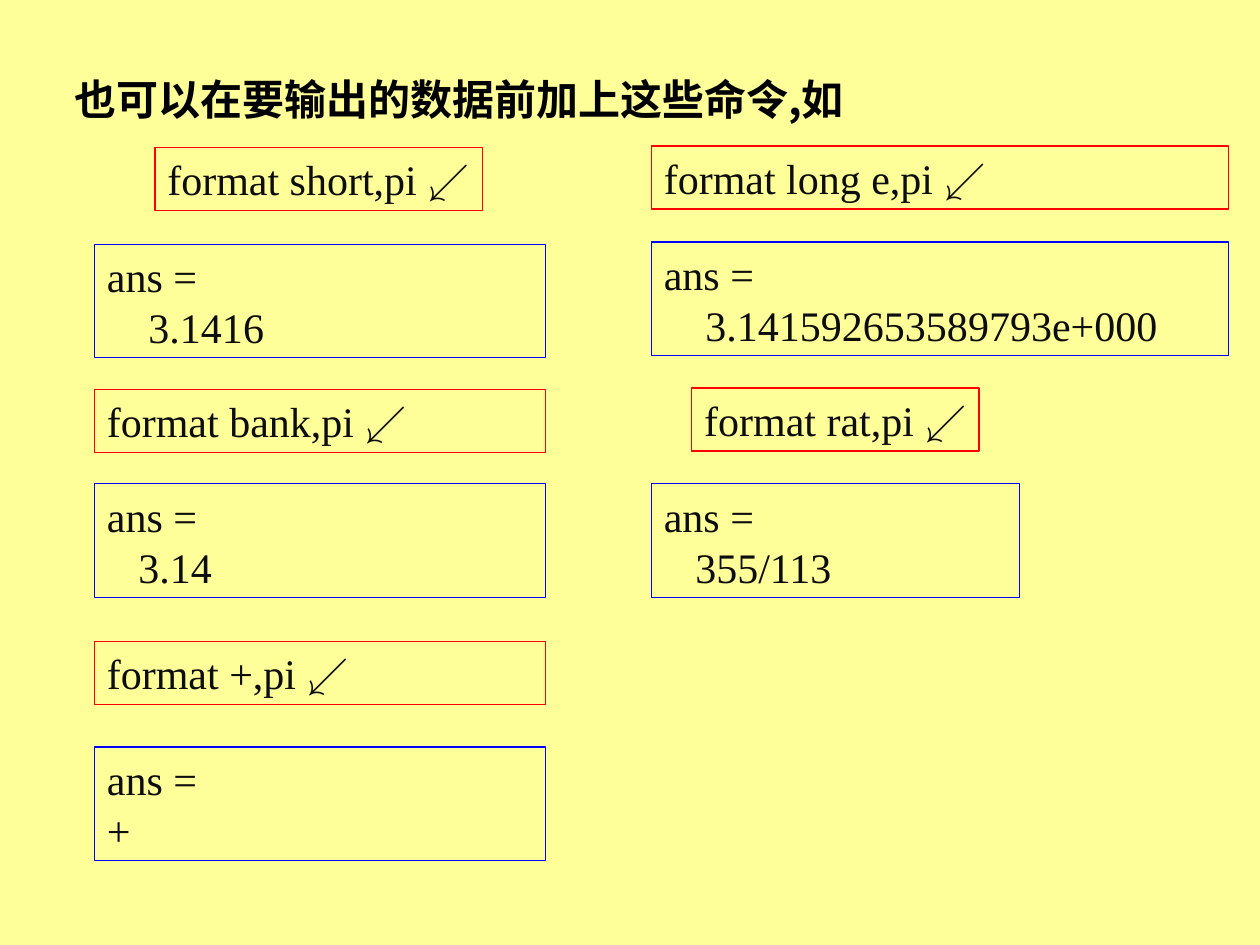
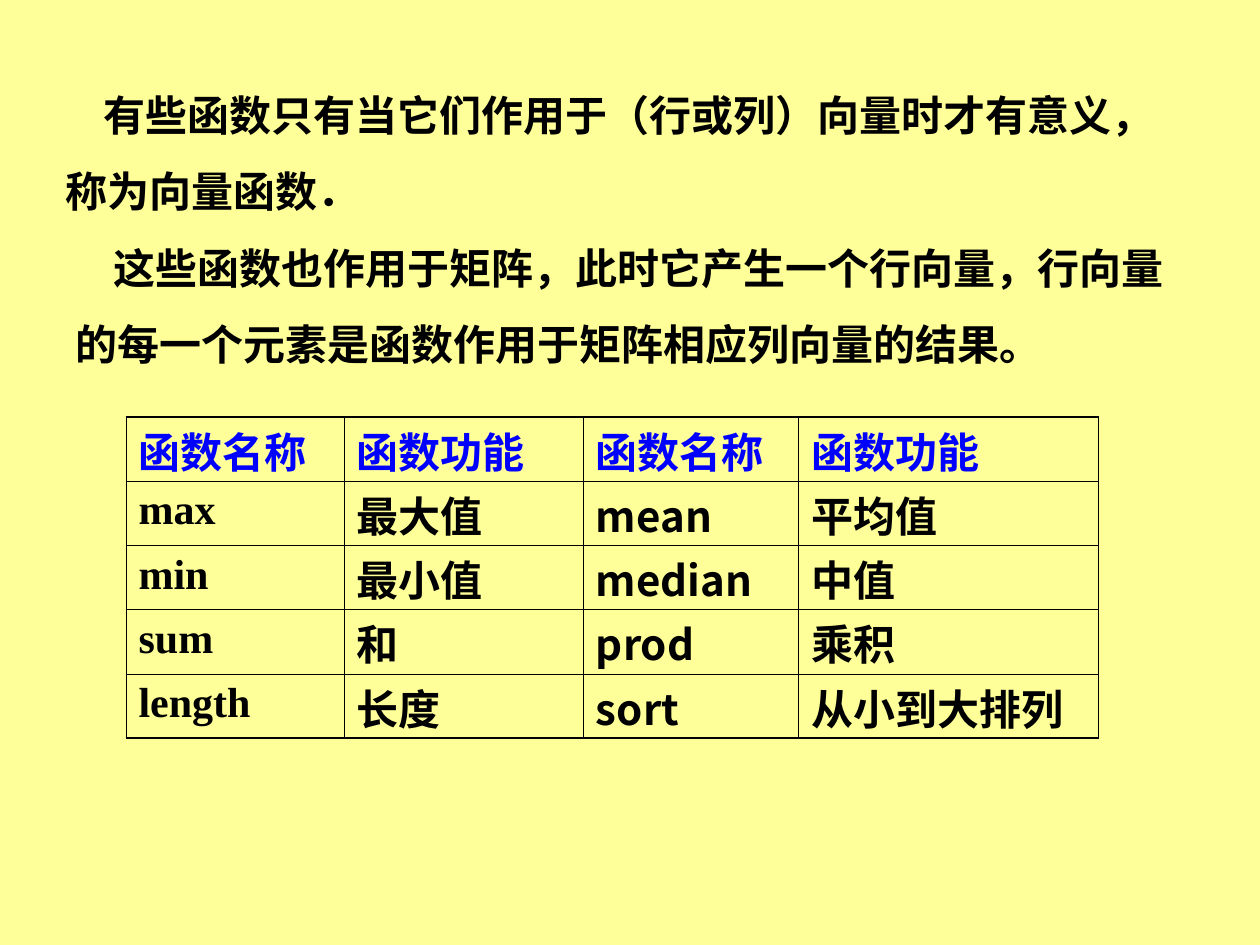
from dataclasses import dataclass

from lxml.etree import SubElement
from pptx import Presentation
from pptx.dml.color import RGBColor
from pptx.enum.shapes import MSO_SHAPE
from pptx.enum.text import MSO_ANCHOR, MSO_AUTO_SIZE, PP_ALIGN
from pptx.oxml.ns import qn
from pptx.util import Inches, Pt

COLORS = {
    "background": "FFFF99",
    "text": "000000",
    "code": "0D0D0D",
    "command": "FF0000",
    "answer": "0000FF",
    "header": "0000FF",
}
CHINESE_FONT = "Noto Sans CJK SC"
LATIN_FONT = "Times New Roman"
TEXT_SIZE = Pt(24)
SINGLE_LINE = Pt(29)
WIDE_LINE = Pt(43.5)


@dataclass
class CodeBox:
    """A command (one line) or its answer (two lines)."""
    left: float
    top: float
    width: float
    lines: tuple[str, ...]
    indent: float = 0
    wrap: bool = True

    @property
    def kind(self) -> str:
        return "command" if len(self.lines) == 1 else "answer"

    @property
    def height(self) -> float:
        return 0.1 + 0.4 * len(self.lines)


@dataclass
class Statement:
    """A bold Chinese paragraph."""
    left: float
    top: float
    width: float
    height: float
    text: str
    indent: float = 0
    line_spacing: Pt = WIDE_LINE
    anchor: MSO_ANCHOR = MSO_ANCHOR.MIDDLE
    wrap: bool = True


LEFT, RIGHT = 0.75, 5.17
CODE_BOXES = [
    CodeBox(1.23, 1.17, 2.6, ("format short,pi ↙",), wrap=False),
    CodeBox(LEFT, 1.94, 3.58, ("ans =", "3.1416"), 0.33),
    CodeBox(LEFT, 3.09, 3.58, ("format bank,pi ↙",)),
    CodeBox(LEFT, 3.84, 3.58, ("ans =", "3.14"), 0.25),
    CodeBox(LEFT, 5.09, 3.58, ("format +,pi ↙",)),
    CodeBox(LEFT, 5.93, 3.58, ("ans =", "+")),
    CodeBox(RIGHT, 1.16, 4.58, ("format long e,pi ↙",)),
    CodeBox(RIGHT, 1.92, 4.58, ("ans =", "3.141592653589793e+000"), 0.33),
    CodeBox(5.49, 3.08, 2.28, ("format rat,pi ↙",), wrap=False),
    CodeBox(RIGHT, 3.84, 2.92, ("ans =", "355/113"), 0.25),
]

TITLE = Statement(0.49, 0.53, 6.72, 0.5, "也可以在要输出的数据前加上这些命令,如",
                  line_spacing=SINGLE_LINE, wrap=False)
EXPLANATIONS = [
    Statement(0.42, 0.46, 9.08, 1.3,
              "有些函数只有当它们作用于（行或列）向量时才有意义，称为向量函数．", 0.3),
    Statement(0.5, 1.67, 8.83, 1.3,
              "这些函数也作用于矩阵，此时它产生一个行向量，"
              "行向量的每一个元素是函数作用于矩阵相应列向量的结果。",
              0.3, anchor=MSO_ANCHOR.TOP),
]

FUNCTIONS = [
    ("函数名称", "函数功能", "函数名称", "函数功能"),
    ("max", "最大值", "mean", "平均值"),
    ("min", "最小值", "median", "中值"),
    ("sum", "和", "prod", "乘积"),
    ("length", "长度", "sort", "从小到大排列"),
]
COLUMN_WIDTHS = (1.73, 1.9, 1.71, 2.38)
ROW_HEIGHT = 0.51


def color(name: str) -> RGBColor:
    return RGBColor.from_string(COLORS[name])


def style_paragraph(para, font: str, color_name: str, bold: bool = False) -> None:
    para.alignment = PP_ALIGN.LEFT
    for span in para.runs:
        span.font.size = TEXT_SIZE
        span.font.name = font
        span.font.bold = bold
        span.font.color.rgb = color(color_name)
        SubElement(span.font._element, qn("a:ea"), typeface=font)


def indent_first_line(para, inches: float) -> None:
    properties = para._p.get_or_add_pPr()
    properties.set("marL", "0")
    properties.set("indent", str(Inches(inches)))


def set_frame(frame, wrap: bool, anchor: MSO_ANCHOR) -> None:
    frame.word_wrap = wrap
    frame.vertical_anchor = anchor
    frame.auto_size = MSO_AUTO_SIZE.SHAPE_TO_FIT_TEXT


def add_page(deck):
    page = deck.slides.add_slide(deck.slide_layouts[6])
    page.background.fill.solid()
    page.background.fill.fore_color.rgb = color("background")
    return page


def add_statement(page, item: Statement) -> None:
    box = page.shapes.add_textbox(Inches(item.left), Inches(item.top),
                                  Inches(item.width), Inches(item.height))
    box.text_frame.text = item.text
    set_frame(box.text_frame, item.wrap, item.anchor)
    para = box.text_frame.paragraphs[0]
    para.line_spacing = item.line_spacing
    indent_first_line(para, item.indent)
    style_paragraph(para, CHINESE_FONT, "text", bold=True)


def add_code_box(page, item: CodeBox) -> None:
    box = page.shapes.add_shape(MSO_SHAPE.RECTANGLE, Inches(item.left), Inches(item.top),
                                Inches(item.width), Inches(item.height))
    box.shadow.inherit = False
    box.fill.background()
    box.line.color.rgb = color(item.kind)
    box.line.width = Pt(0.75)
    box.text_frame.text = "\n".join(item.lines)
    set_frame(box.text_frame, item.wrap, MSO_ANCHOR.TOP)
    for para in box.text_frame.paragraphs:
        para.line_spacing = SINGLE_LINE
        style_paragraph(para, LATIN_FONT, "code")
    indent_first_line(box.text_frame.paragraphs[-1], item.indent)


def set_borders(cell, widths: dict[str, float]) -> None:
    properties = cell._tc.get_or_add_tcPr()
    for position, (side, width) in enumerate(widths.items()):
        line = properties.makeelement(qn(f"a:{side}"), {"w": str(Pt(width))})
        properties.insert(position, line)
        fill = SubElement(line, qn("a:solidFill"))
        SubElement(fill, qn("a:srgbClr"), val=COLORS["text"])


def add_function_table(page) -> None:
    frame = page.shapes.add_table(len(FUNCTIONS), len(COLUMN_WIDTHS), Inches(1), Inches(3.31),
                                  Inches(sum(COLUMN_WIDTHS)),
                                  Inches(ROW_HEIGHT * len(FUNCTIONS)))
    table = frame.table
    table.first_row = table.horz_banding = False
    for column, width in zip(table.columns, COLUMN_WIDTHS):
        column.width = Inches(width)
    last_row = len(FUNCTIONS) - 1
    for row, texts in enumerate(FUNCTIONS):
        for column, text in enumerate(texts):
            cell = table.cell(row, column)
            latin = row > 0 and column == 0
            cell.text_frame.text = text
            cell.margin_top = Inches(0.05 if latin else 0.02)
            cell.margin_bottom = Inches(0)
            cell.fill.background()
            style_paragraph(cell.text_frame.paragraphs[0],
                            LATIN_FONT if latin else CHINESE_FONT,
                            "text" if row else "header", bold=True)
            set_borders(cell, {"lnL": 0.45, "lnR": 0.45,
                               "lnT": 0.96 if row == 0 else 0.45,
                               "lnB": 0.96 if row == last_row else 0.45})


def main() -> None:
    deck = Presentation()
    deck.slide_width, deck.slide_height = Inches(10), Inches(7.5)

    # Output formats of pi
    page = add_page(deck)
    add_statement(page, TITLE)
    for item in CODE_BOXES:
        add_code_box(page, item)

    # Vector functions
    page = add_page(deck)
    add_function_table(page)
    for item in EXPLANATIONS:
        add_statement(page, item)

    deck.save("out.pptx")


if __name__ == "__main__":
    main()
